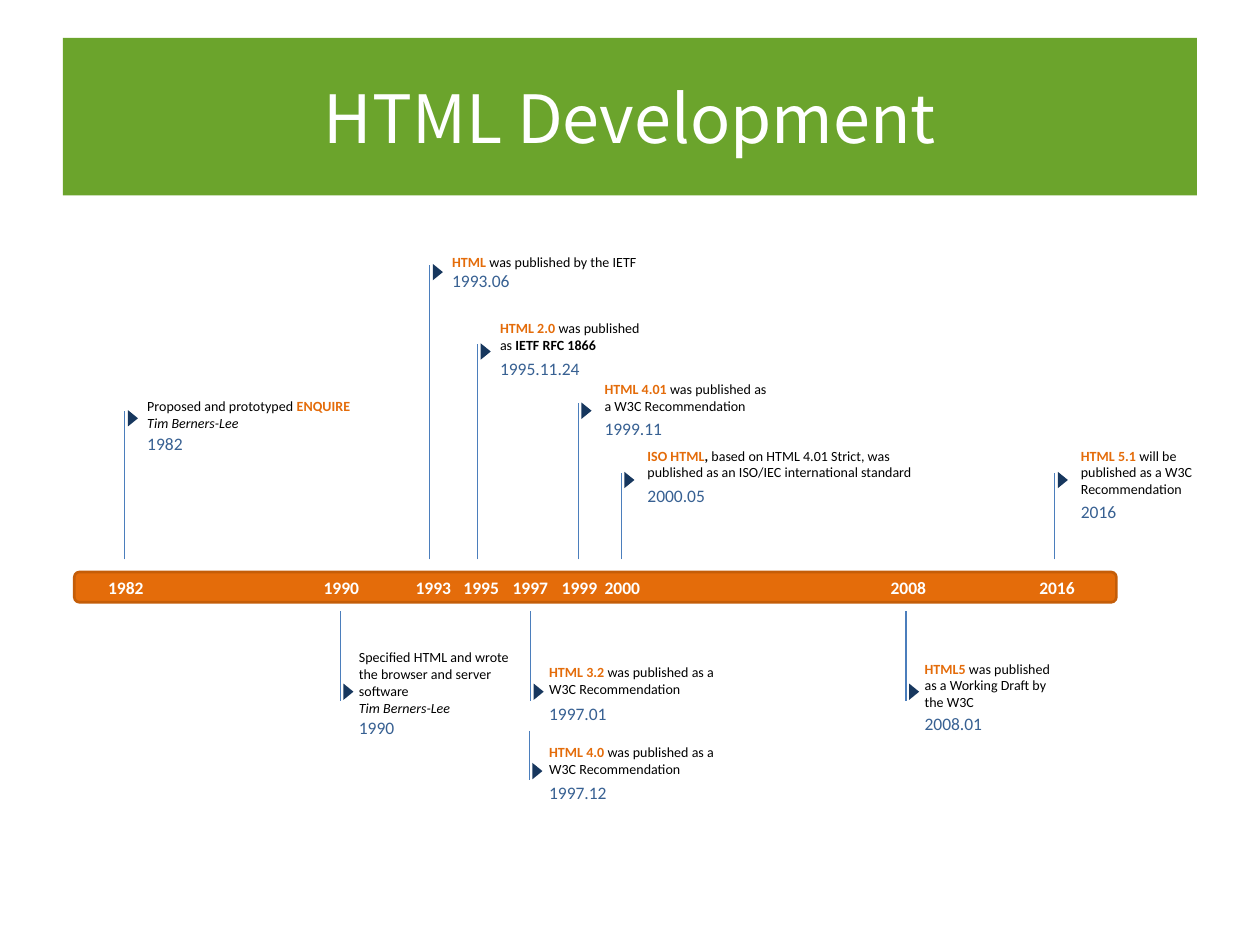
import dataclasses

import pptx
import pptx.dml.color
import pptx.enum.shapes
import pptx.enum.text
import pptx.oxml.ns
import pptx.util
from lxml import etree

SHAPE = pptx.enum.shapes.MSO_SHAPE
ALIGN = pptx.enum.text.PP_ALIGN
ANCHOR = pptx.enum.text.MSO_ANCHOR


@dataclasses.dataclass(frozen=True)
class Theme:
    green: str = "6BA42C"
    orange: str = "E46C0A"
    rim: str = "C45D08"
    stem: str = "4B7EBC"
    navy: str = "17375E"
    date: str = "376092"
    white: str = "FFFFFF"
    black: str = "000000"
    head: str = "Noto Sans CJK SC"
    body: str = "Calibri"
    title: int = 38
    label: int = 10
    note: int = 8


def rgb(code):
    return pptx.dml.color.RGBColor.from_string(code)


class Board:
    cols, rows = 100, 75

    def __init__(self, deck, theme):
        self.theme = theme
        self.cell = deck.slide_width / self.cols
        self.slide = deck.slides.add_slide(deck.slide_layouts[6])

    def units(self, *cells):
        return [pptx.util.Emu(round(cell * self.cell)) for cell in cells]

    def shape(self, kind, box, fill, rim=None):
        item = self.slide.shapes.add_shape(kind, *self.units(*box))
        item.shadow.inherit = False
        item.fill.solid()
        item.fill.fore_color.rgb = rgb(fill)
        if rim:
            item.line.color.rgb = rgb(rim)
            item.line.width = pptx.util.Pt(1.5)
        else:
            item.line.fill.background()
        return item

    def style(self, para, size, color=None, face=None):
        font = para.font
        font.name = face or self.theme.body
        font.size = pptx.util.Pt(size)
        if color:
            font.color.rgb = rgb(color)
        return font

    def title(self, box, text):
        frame = self.shape(SHAPE.RECTANGLE, box, self.theme.green).text_frame
        frame.vertical_anchor = ANCHOR.MIDDLE
        para = frame.paragraphs[0]
        para.text = text
        para.alignment = ALIGN.CENTER
        self.style(para, self.theme.title, self.theme.white, self.theme.head)

    def label(self, left, top, text, color, bold=False):
        width = 2.5 + 0.6 * len(text)
        box = self.slide.shapes.add_textbox(*self.units(left, top, width, 2.7))
        box.text_frame.word_wrap = False
        para = box.text_frame.paragraphs[0]
        para.text = text
        self.style(para, self.theme.label, color).bold = bold

    def note(self, left, top, width, lines, paras):
        size = self.units(left, top, width, 1.1 + 1.3 * lines)
        frame = self.slide.shapes.add_textbox(*size).text_frame
        frame.word_wrap = True
        for index, parts in enumerate(paras):
            para = frame.add_paragraph() if index else frame.paragraphs[0]
            self.style(para, self.theme.note)
            for text, look in parts:
                run = para.add_run()
                run.text = text
                run.font.bold = look in ("key", "bold")
                run.font.italic = look == "slant"
                tone = self.theme.orange if look == "key" else self.theme.black
                run.font.color.rgb = rgb(tone)

    def flag(self, col, base, tip):
        ends = self.units(col, base, col, tip)
        stem = self.slide.shapes.add_connector(
            pptx.enum.shapes.MSO_CONNECTOR.STRAIGHT, *ends)
        stem.line.color.rgb = rgb(self.theme.stem)
        stem.line.width = pptx.util.Pt(0.75)
        etree.SubElement(stem._element.spPr, pptx.oxml.ns.qn("a:effectLst"))
        top = tip + 0.2 if tip < base else tip - 1.1
        mark = self.shape(SHAPE.ISOSCELES_TRIANGLE, (col, top, 1.3, 0.8),
                          self.theme.navy)
        mark.rotation = 90


ABOVE, BELOW = 44.4, 48.5
YEARS = {"1982": 7.6, "1990": 24.7, "1993": 32, "1995": 35.8, "1997": 39.7,
         "1999": 43.6, "2000": 47, "2008": 69.7, "2016": 81.5}
AUTHOR = [("Tim Berners-Lee", "slant")]
EVENTS = [
    ((9.9, ABOVE, 32.6), (10.7, 31.1, 18.9, 2), (33.9, "1982"),
     [[("Proposed and prototyped ", ""), ("ENQUIRE", "key")], AUTHOR]),
    ((27, BELOW, 55.6), (27.5, 51, 15.5, 5), (56.4, "1990"),
     [[("Specified HTML and wrote the browser and server software", "")],
      AUTHOR]),
    ((34.1, ABOVE, 21), (34.9, 19.6, 18.9, 1), (20.9, "1993.06"),
     [[("HTML", "key"), (" was published by the IETF", "")]]),
    ((37.9, ABOVE, 27.3), (38.7, 24.9, 13.8, 2), (27.9, "1995.11.24"),
     [[("HTML 2.0 ", "key"), ("was published as ", ""),
       ("IETF RFC 1866", "bold")]]),
    ((42.1, BELOW, 55.6), (42.6, 52.2, 15.5, 2), (55.3, "1997.01"),
     [[("HTML 3.2 ", "key"),
       ("was published as a W3C Recommendation", "")]]),
    ((42, 58, 61.9), (42.6, 58.5, 15.5, 2), (61.6, "1997.12"),
     [[("HTML 4.0", "key"),
       (" was published as a W3C Recommendation", "")]]),
    ((45.9, ABOVE, 32), (47, 29.7, 15, 2), (32.7, "1999.11"),
     [[("HTML 4.01 ", "key"),
       ("was published as a W3C Recommendation", "")]]),
    ((49.3, ABOVE, 37.5), (50.4, 35, 24.8, 2), (38, "2000.05"),
     [[("ISO HTML", "key"), (", ", "bold"),
       ("based on HTML 4.01 Strict, was published as an ISO/IEC "
        "international standard", "")]]),
    ((71.9, BELOW, 55.6), (72.4, 51.9, 12.3, 3), (56.1, "2008.01"),
     [[("HTML5", "key"),
       (" was published as a Working Draft by the W3C", "")]]),
    ((83.7, ABOVE, 37.5), (84.8, 35, 12.2, 3), (39.3, "2016"),
     [[("HTML 5.1 ", "key"),
       ("will be published as a W3C Recommendation", "")]]),
]


def main():
    deck = pptx.Presentation()
    deck.slide_width = pptx.util.Inches(10)
    deck.slide_height = pptx.util.Inches(7.5)
    theme = Theme()
    board = Board(deck, theme)
    board.title((5, 3, 90, 12.5), "HTML Development")
    board.shape(SHAPE.ROUNDED_RECTANGLE, (5.9, 45.4, 82.7, 2.4),
                theme.orange, theme.rim)
    for year, left in YEARS.items():
        board.label(left, 45.3, year, theme.white, True)
    for flag, place, (top, date), paras in EVENTS:
        board.flag(*flag)
        board.note(*place, paras)
        board.label(place[0], top, date, theme.date)
    deck.save("out.pptx")


if __name__ == "__main__":
    main()
